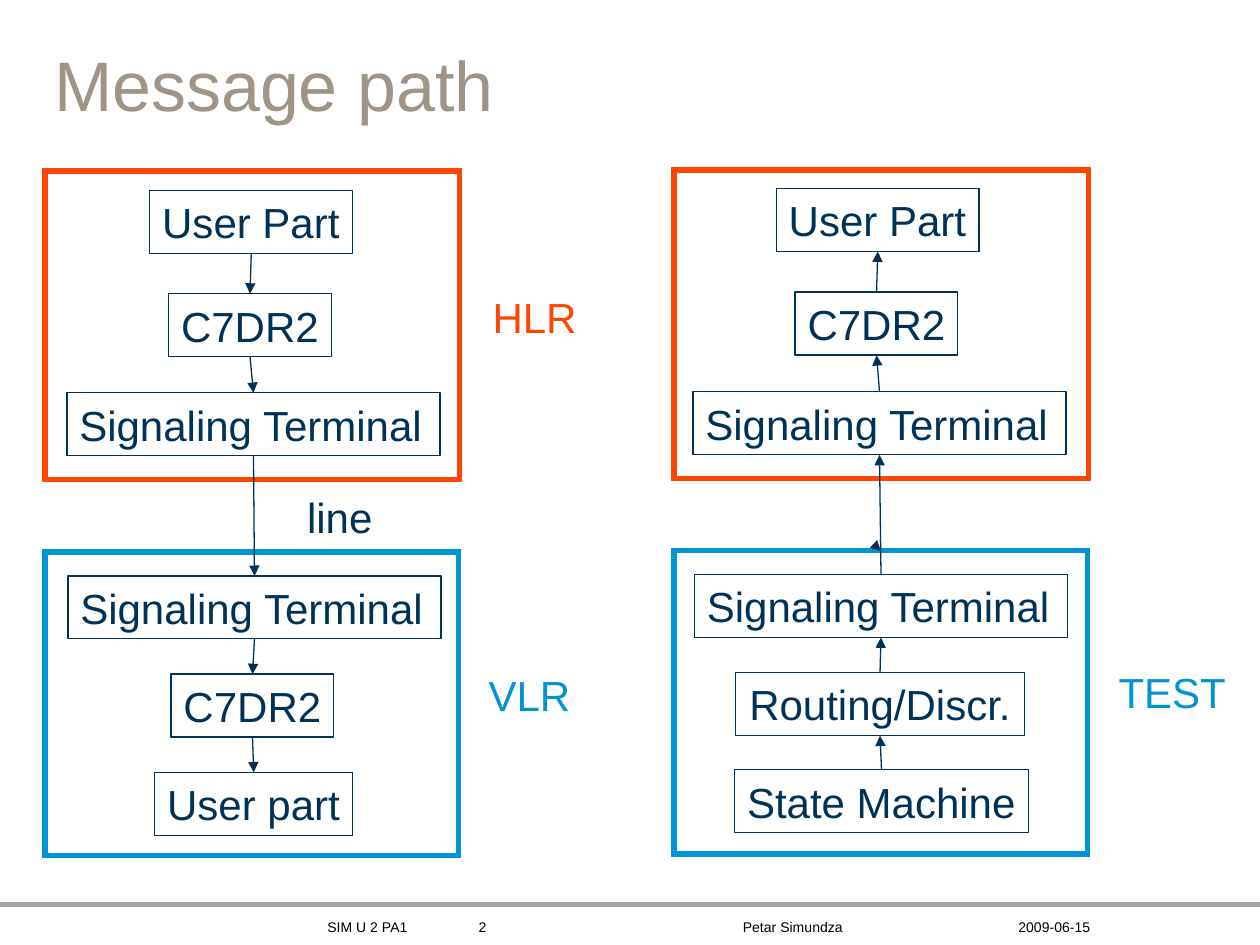
from lxml.etree import SubElement
from pptx import Presentation
from pptx.dml.color import RGBColor
from pptx.enum.shapes import MSO_CONNECTOR as Conn, MSO_SHAPE as Shape
from pptx.enum.text import MSO_ANCHOR as Anchor, PP_ALIGN as Align
from pptx.oxml.ns import qn
from pptx.util import Cm, Pt

NAVY, RED, BLUE = "003258", "FF4500", "0094D2"
GREY, TAUPE, BLACK = "A6A1A0", "A09487", "000000"
HIGH = 1.27  # height of every box and label


def write(shape, text, size=24, color=NAVY, align=Align.LEFT, anchor=Anchor.TOP, pad=0.13):
    frame = shape.text_frame
    frame.word_wrap = True
    frame.vertical_anchor = anchor
    frame.margin_left = Cm(0.25 if align == Align.LEFT else 0)
    frame.margin_right = Cm(0.25 if align == Align.RIGHT else 0)
    frame.margin_top = frame.margin_bottom = Cm(pad)
    para = frame.paragraphs[0]
    para.text = text
    para.alignment = align
    para.font.name = "Arial"
    para.font.size = Pt(size)
    para.font.color.rgb = RGBColor.from_string(color)


def draw(x1, y1, x2, y2, color=NAVY, width=0.75, head=True):
    line = slide.shapes.add_connector(Conn.STRAIGHT, Cm(x1), Cm(y1), Cm(x2), Cm(y2))
    line.line.color.rgb = RGBColor.from_string(color)
    line.line.width = Pt(width)
    if head:
        SubElement(line._element.spPr.find(qn("a:ln")), qn("a:tailEnd"), type="triangle")
    SubElement(line._element.spPr, qn("a:effectLst"))
    return line


prs = Presentation()
prs.slide_width, prs.slide_height = Cm(25.4), Cm(19.05)
slide = prs.slides.add_slide(prs.slide_layouts[5])

# Title
title = slide.shapes.title
title.left, title.top, title.width, title.height = Cm(0.84), Cm(0.84), Cm(22.43), Cm(1.7)
write(title, "Message path", size=40, color=TAUPE, anchor=Anchor.BOTTOM, pad=0)

# Footer
draw(0, 18.24, 25.4, 18.24, color=GREY, width=3, head=False)
for text, x, w, align in [
    ("SIM U 2 PA1", 6.35, 2.13, Align.LEFT),
    ("2", 9.4, 1.8, Align.LEFT),
    ("Petar Simundza", 14.73, 2.51, Align.CENTER),
    ("2009-06-15", 20.27, 1.96, Align.RIGHT),
]:
    foot = slide.shapes.add_textbox(Cm(x), Cm(18.39), Cm(w), Cm(0.61))
    write(foot, text, size=8, color=BLACK, align=align)

# Frames of the nodes, with square corners
for x, y, w, h, color in [
    (0.91, 3.45, 8.36, 6.22, RED),
    (0.91, 11.13, 8.33, 6.12, BLUE),
    (13.59, 3.43, 8.36, 6.22, RED),
    (13.59, 11.1, 8.33, 6.12, BLUE),
]:
    node = slide.shapes.add_shape(Shape.RECTANGLE, Cm(x), Cm(y), Cm(w), Cm(h))
    node.shadow.inherit = False
    node.fill.background()
    node.line.color.rgb = RGBColor.from_string(color)
    node.line.width = Pt(3)
    SubElement(node._element.spPr.find(qn("a:ln")), qn("a:miter"), lim="800000")

# Boxes of each path, from top to bottom
down = [
    ("User Part", 3.02, 3.84, 4.09),
    ("C7DR2", 3.4, 5.92, 3.28),
    ("Signaling Terminal", 1.35, 7.92, 7.52),
    ("Signaling Terminal", 1.37, 11.61, 7.52),
    ("C7DR2", 3.45, 13.59, 3.28),
    ("User part", 3.12, 15.57, 3.99),
]
up = [
    ("User Part", 15.65, 3.8, 4.09),
    ("C7DR2", 16.03, 5.89, 3.28),
    ("Signaling Terminal", 13.97, 7.9, 7.52),
    ("Signaling Terminal", 14, 11.58, 7.52),
    ("Routing/Discr.", 14.83, 13.56, 5.82),
    ("State Machine", 14.81, 15.52, 5.92),
]
for stack in (down, up):
    boxes = []
    for text, x, y, w in stack:
        box = slide.shapes.add_shape(Shape.RECTANGLE, Cm(x), Cm(y), Cm(w), Cm(HIGH))
        box.shadow.inherit = False
        box.fill.background()
        box.line.color.rgb = RGBColor.from_string(NAVY)
        box.line.width = Pt(0.75)
        mid = text == "Routing/Discr."
        write(box, text, align=Align.CENTER if mid else Align.LEFT,
              anchor=Anchor.MIDDLE if mid else Anchor.TOP)
        boxes.append(box)

    # Arrows between neighbours
    for above, below in zip(boxes, boxes[1:]):
        ends = [(above, 2), (below, 0)]
        if stack is up:
            ends.reverse()
        arrow = draw(0, 0, 1, 1)
        arrow.begin_connect(*ends[0])
        arrow.end_connect(*ends[1])

# Small arrowhead on the edge of the lower right node
draw(17.74, 11.09, 17.76, 11.11)

# Labels
for text, x, y, w, color in [
    ("HLR", 9.68, 5.74, 2.18, RED),
    ("VLR", 9.6, 13.36, 2.16, BLUE),
    ("line", 5.94, 9.78, 1.83, NAVY),
    ("TEST", 22.3, 13.31, 2.95, BLUE),
]:
    label = slide.shapes.add_textbox(Cm(x), Cm(y), Cm(w), Cm(HIGH))
    write(label, text, color=color)

prs.save("out.pptx")
